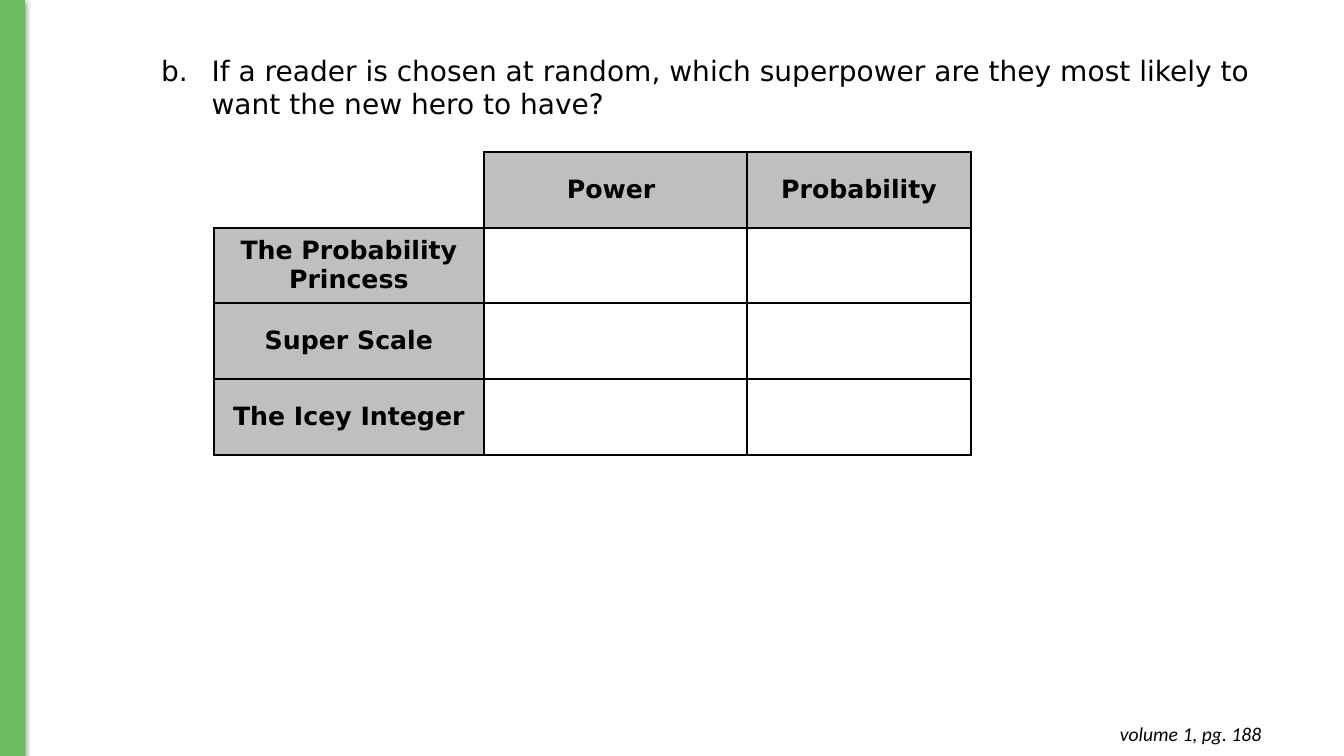
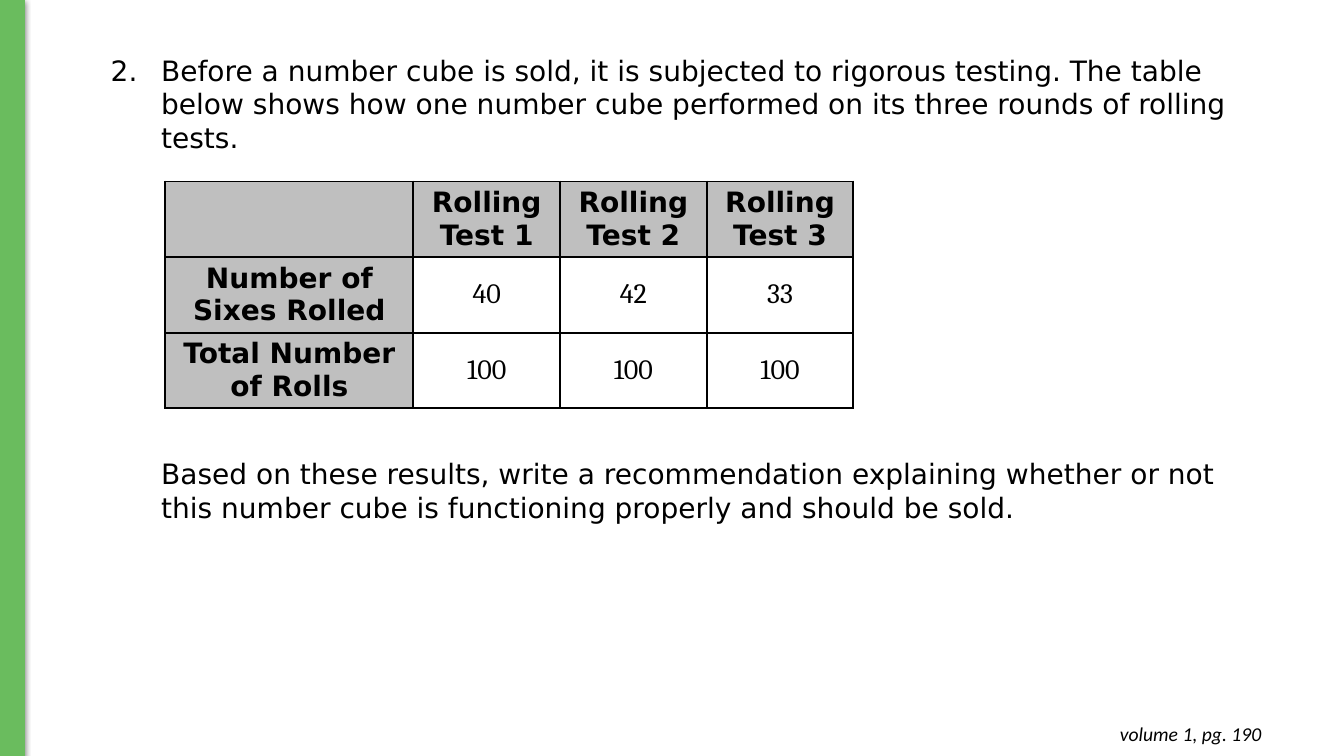
from lxml import etree
from pptx import Presentation
from pptx.dml.color import RGBColor
from pptx.enum.shapes import MSO_SHAPE
from pptx.enum.text import MSO_ANCHOR, PP_ALIGN
from pptx.oxml.ns import qn
from pptx.util import Inches, Pt

CENTER, RIGHT, LEFT = PP_ALIGN.CENTER, PP_ALIGN.RIGHT, PP_ALIGN.LEFT
MIDDLE = MSO_ANCHOR.MIDDLE
RECTANGLE = MSO_SHAPE.RECTANGLE

COLORS = {"band": "6ABC5E", "header": "BFBFBF", "ink": "000000"}
BODY_FONT, NUMBER_FONT, FOOTER_FONT = "DejaVu Sans", "Cambria", "Calibri"
WIDTH, HEIGHT = 13.33, 7.5
BODY_LEFT, BODY_TOP, BODY_WIDTH = 1, 0.48, 11.5
HANG = 0.5
ROW_HEIGHT = 0.75


def color(name):
    return RGBColor.from_string(COLORS[name])


def add_child(parent, tag, **attributes):
    child = etree.SubElement(parent, qn(tag))
    for name, value in attributes.items():
        child.set(name, str(value))
    return child


def add_color(parent, name):
    return add_child(add_child(parent, "a:solidFill"), "a:srgbClr", val=COLORS[name])


def write(frame, text, size, font=BODY_FONT, align=LEFT, bold=False, italic=False):
    para = frame.paragraphs[0]
    para.text = text
    para.alignment = align
    for span in para.runs:
        span.font.size, span.font.name = Pt(size), font
        span.font.bold, span.font.italic = bold, italic
        span.font.color.rgb = color("ink")
    return para


def add_text_box(slide, left, top, width, height, inset_y=0.05):
    frame = slide.shapes.add_textbox(*map(Inches, (left, top, width, height))).text_frame
    frame.word_wrap = True
    frame.margin_top = frame.margin_bottom = Inches(inset_y)
    return frame


def add_band(slide):
    band = slide.shapes.add_shape(RECTANGLE, 0, 0, Inches(0.24), Inches(HEIGHT))
    band.fill.solid()
    band.fill.fore_color.rgb = band.line.color.rgb = color("band")
    band.line.width = Pt(0.75)
    band.shadow.inherit = False
    effects = band._element.spPr.find(qn("a:effectLst"))
    shadow = add_child(effects, "a:outerShdw", blurRad=Pt(4.5), dist=Pt(1.5),
                       dir=90 * 60000, rotWithShape=0)
    add_child(add_child(shadow, "a:srgbClr", val=COLORS["ink"]), "a:alpha", val=50000)


def add_footer(slide, page):
    frame = add_text_box(slide, 9.73, 7.06, 2.88, 0.44, inset_y=0.1)
    write(frame, f"volume 1, pg. {page}", 14, FOOTER_FONT, RIGHT, italic=True)


def add_body(slide, text, top=BODY_TOP, level=1, numbering=None, start=1):
    """Add a question paragraph, with a hanging number if numbering is given."""
    frame = add_text_box(slide, BODY_LEFT, top, BODY_WIDTH, 0.77)
    para = write(frame, text, 20)
    properties = para._p.get_or_add_pPr()
    properties.set("marL", str(Inches(level * HANG)))
    properties.set("indent", str(-Inches(HANG) if numbering else 0))
    if numbering:
        add_child(properties, "a:buAutoNum", type=numbering, startAt=start)


def set_borders(cell, hidden=""):
    """Rule the four sides of a cell, except those named in hidden."""
    properties = cell._tc.get_or_add_tcPr()
    for position, side in enumerate("LRTB"):
        border = add_child(properties, f"a:ln{side}", w=Pt(1.5))
        if side in hidden:
            add_child(border, "a:noFill")
        else:
            add_color(border, "ink")
        properties.insert(position, border)


def add_grid(slide, left, top, columns, rows, size, open_corner=False):
    """Add a table whose first row and first column are headers."""
    height = ROW_HEIGHT * len(rows)
    table = slide.shapes.add_table(len(rows), len(columns), *map(
        Inches, (left, top, sum(columns), height))).table
    table.first_row = table.horz_banding = False
    for column, width in zip(table.columns, columns):
        column.width = Inches(width)
    for r, texts in enumerate(rows):
        for c, text in enumerate(texts):
            cell = table.cell(r, c)
            is_header = r == 0 or c == 0
            is_open = open_corner and r == c == 0
            if is_header and not is_open:
                cell.fill.solid()
                cell.fill.fore_color.rgb = color("header")
            else:
                cell.fill.background()
            set_borders(cell, "LT" if is_open else "")
            cell.vertical_anchor = MIDDLE
            cell.margin_left = cell.margin_right = Inches(0.07)
            cell.margin_top = cell.margin_bottom = 0
            if text:
                font = BODY_FONT if is_header else NUMBER_FONT
                write(cell.text_frame, text, size, font, CENTER, bold=is_header)


def add_page(deck, page):
    slide = deck.slides.add_slide(deck.slide_layouts[6])
    add_band(slide)
    add_footer(slide, page)
    return slide


def add_superpower_slide(deck):
    slide = add_page(deck, 188)
    add_grid(slide, 2.12, 1.51, [2.68, 2.61, 2.22], [
        ["", "Power ", "Probability"],
        ["The Probability Princess", "", ""],
        ["Super Scale", "", ""],
        ["The Icey Integer", "", ""],
    ], 18, open_corner=True)
    add_body(slide, "If a reader is chosen at random, which superpower are they most "
             "likely to want the new hero to have?", level=2,
             numbering="alphaLcPeriod", start=2)


def add_number_cube_slide(deck):
    slide = add_page(deck, 190)
    add_body(slide, "Before a number cube is sold, it is subjected to rigorous testing. "
             "The table below shows how one number cube performed on its three rounds "
             "of rolling tests.", numbering="arabicPeriod", start=2)
    add_grid(slide, 1.64, 1.8, [2.46] + [1.455] * 3, [
        ["", "Rolling Test 1", "Rolling Test 2", "Rolling Test 3"],
        ["Number of Sixes Rolled", "40", "42", "33"],
        ["Total Number of Rolls", "100", "100", "100"],
    ], 20)
    add_body(slide, "Based on these results, write a recommendation explaining whether "
             "or not this number cube is functioning properly and should be sold.",
             top=4.48)


def main():
    deck = Presentation()
    deck.slide_width, deck.slide_height = Inches(WIDTH), Inches(HEIGHT)
    add_superpower_slide(deck)
    add_number_cube_slide(deck)
    deck.save("out.pptx")


if __name__ == "__main__":
    main()
